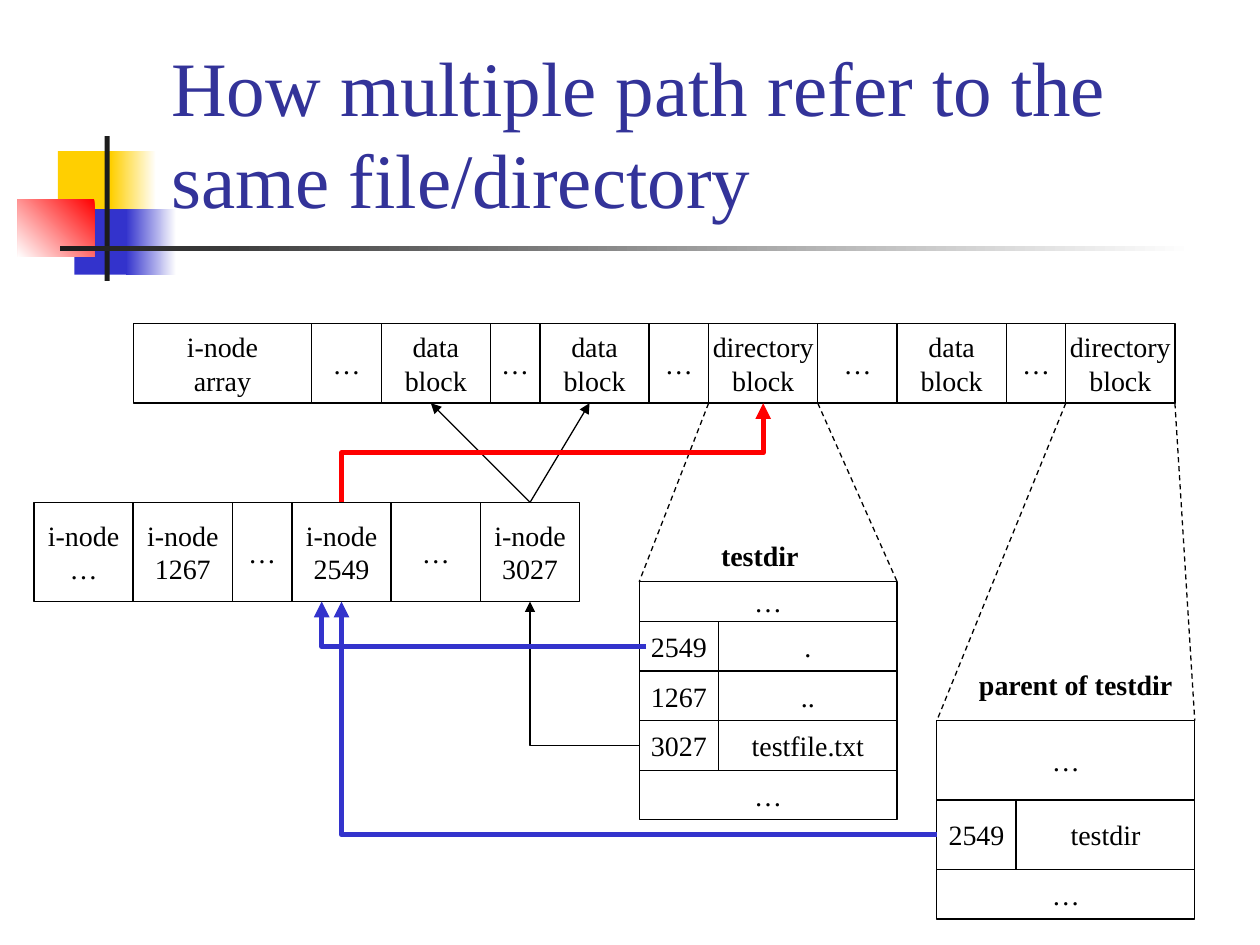
from dataclasses import dataclass
from itertools import accumulate

from lxml.etree import SubElement
from pptx import Presentation
from pptx.dml.color import RGBColor
from pptx.enum.dml import MSO_LINE
from pptx.enum.shapes import MSO_CONNECTOR as Connector, MSO_SHAPE as Preset
from pptx.enum.text import MSO_ANCHOR as Anchor, MSO_AUTO_SIZE as AutoSize, PP_ALIGN as Align
from pptx.oxml.ns import qn
from pptx.util import Inches, Mm, Pt


@dataclass(frozen=True)
class Theme:
    font: str = "Times New Roman"
    title_size: int = 44
    body_size: int = 16
    thin: float = 0.75
    thick: float = 3
    title: str = "333399"
    ink: str = "000000"
    white: str = "FFFFFF"
    yellow: str = "FFCF01"
    blue: str = "3333CC"
    red: str = "FF0000"
    bar: str = "1C1C1C"


@dataclass(frozen=True)
class Grid:
    left: int
    top: int
    unit: int

    def point(self, column, row):
        return self.left + int(column * self.unit), self.top + int(row * self.unit)

    def box(self, column, row, columns, rows):
        left, top = self.point(column, row)
        right, bottom = self.point(column + columns, row + rows)
        return left, top, right - left, bottom - top


THEME = Theme()
GRID = Grid(Inches(0.27), Inches(2.57), Mm(2))
ELLIPSIS = "…"


def color(value):
    return RGBColor.from_string(value)


def format_text(text_frame, size, ink, bold=False, align=Align.LEFT):
    for paragraph in text_frame.paragraphs:
        paragraph.alignment = align
        for run in paragraph.runs:
            run.font.name = THEME.font
            run.font.size = Pt(size)
            run.font.bold = bold
            run.font.color.rgb = color(ink)


def add_ornament(slide, box, start, end=None, angle=180):
    shape = slide.shapes.add_shape(Preset.RECTANGLE, *(Inches(value) for value in box))
    shape.shadow.inherit = False
    shape.line.fill.background()
    if end is None:
        shape.fill.solid()
        shape.fill.fore_color.rgb = color(start)
        return
    shape.fill.gradient()
    shape.fill.gradient_angle = angle
    for stop, value in zip(shape.fill.gradient_stops, (start, end)):
        stop.color.rgb = color(value)


def add_header(slide, text):
    add_ornament(slide, (0.46, 1.2, 0.48, 0.52), THEME.yellow)
    add_ornament(slide, (0.88, 1.2, 0.36, 0.52), THEME.white, THEME.yellow)
    add_ornament(slide, (0.59, 1.66, 0.46, 0.52), THEME.blue)
    add_ornament(slide, (1, 1.66, 0.4, 0.52), THEME.white, THEME.blue)
    add_ornament(slide, (0.14, 1.58, 0.61, 0.46), THEME.red, THEME.white, 225)
    add_ornament(slide, (0.83, 1.08, 0.04, 1.15), THEME.bar)
    add_ornament(slide, (0.48, 1.95, 9, 0.04), THEME.white, THEME.bar)
    title = slide.shapes.title
    title.left, title.top, title.width, title.height = map(Inches, (1.26, 0.23, 8.52, 1.6))
    title.text_frame.text = text
    title.text_frame.word_wrap = True
    title.text_frame.auto_size = AutoSize.NONE
    title.text_frame.vertical_anchor = Anchor.BOTTOM
    format_text(title.text_frame, THEME.title_size, THEME.title)
    slide.shapes._spTree.append(title._element)


def add_cell(slide, box, text):
    cell = slide.shapes.add_shape(Preset.RECTANGLE, *GRID.box(*box))
    cell.shadow.inherit = False
    cell.fill.background()
    cell.line.color.rgb = color(THEME.ink)
    cell.line.width = Pt(THEME.thin)
    cell.text_frame.text = text
    cell.text_frame.word_wrap = False
    cell.text_frame.vertical_anchor = Anchor.MIDDLE
    format_text(cell.text_frame, THEME.body_size, THEME.ink, align=Align.CENTER)
    return cell


def add_strip(slide, column, row, height, parts):
    widths = [width for width, text in parts]
    columns = accumulate(widths, initial=column)
    return [add_cell(slide, (left, row, width, height), text)
            for left, (width, text) in zip(columns, parts)]


def add_directory(slide, column, row, rows):
    for height, parts in rows:
        add_strip(slide, column, row, height, parts)
        row += height


def add_label(slide, box, text):
    label = slide.shapes.add_textbox(*GRID.box(*box))
    label.text_frame.text = text
    label.text_frame.word_wrap = False
    label.text_frame.auto_size = AutoSize.SHAPE_TO_FIT_TEXT
    format_text(label.text_frame, THEME.body_size, THEME.ink, bold=True)


def add_line(slide, kind, begin, end, ink=THEME.ink, width=THEME.thin, arrow=True):
    line = slide.shapes.add_connector(kind, *GRID.point(*begin), *GRID.point(*end))
    line.line.color.rgb = color(ink)
    line.line.width = Pt(width)
    if arrow:
        SubElement(line.line._get_or_add_ln(), qn("a:tailEnd"), type="triangle")
    SubElement(line._element.spPr, qn("a:effectLst"))
    return line


def add_projection(slide, begin, end):
    line = add_line(slide, Connector.STRAIGHT, begin, end, arrow=False)
    line.line.dash_style = MSO_LINE.DASH


def add_corner(slide, begin, end, ink=THEME.ink, width=THEME.thin):
    line = add_line(slide, Connector.ELBOW, begin, end, ink, width)
    line._element.spPr.find(qn("a:prstGeom")).set("prst", "bentConnector2")


def add_riser(slide, begin, end, ink, width):
    middle_x, middle_y = ((a + b) / 2 for a, b in zip(begin, end))
    half_x, half_y = ((b - a) / 2 for a, b in zip(begin, end))
    line = add_line(slide, Connector.ELBOW, (middle_x + half_y, middle_y - half_x),
                    (middle_x - half_y, middle_y + half_x), ink, width)
    line._element.spPr.find(qn("a:xfrm")).set("rot", str(270 * 60000))


def add_diagram(slide):
    for begin, end in (((68, 8), (61, 26)), ((79, 8), (87, 26)),
                       ((104, 8), (91, 40)), ((115, 8), (117, 40))):
        add_projection(slide, begin, end)

    data, directory = (11, "data\nblock"), (11, "directory\nblock")
    add_strip(slide, 10, 0, 8, [
        (18, "i-node\narray"), (7, ELLIPSIS), data, (5, ELLIPSIS), data, (6, ELLIPSIS),
        directory, (8, ELLIPSIS), data, (6, ELLIPSIS), directory])
    inodes = add_strip(slide, 0, 18, 10, [
        (10, "i-node\n…"), (10, "i-node\n1267"), (6, ELLIPSIS),
        (10, "i-node\n2549"), (9, ELLIPSIS), (10, "i-node\n3027")])

    filler = [(26, ELLIPSIS)]
    add_directory(slide, 61, 26, [
        (4, filler), (5, [(8, "2549"), (18, ".")]), (5, [(8, "1267"), (18, "..")]),
        (5, [(8, "3027"), (18, "testfile.txt")]), (5, filler)])
    add_directory(slide, 91, 40, [
        (8, filler), (7, [(8, "2549"), (18, "testdir")]), (5, filler)])
    add_label(slide, (68, 21, 10.4, 4.7), "testdir")
    add_label(slide, (94, 34, 22.2, 4.7), "parent of testdir")

    for column in (56, 40):
        line = add_line(slide, Connector.STRAIGHT, (50, 18), (column, 8))
        line.begin_connect(inodes[-1], 0)
    add_corner(slide, (61, 42.5), (50, 28))
    add_riser(slide, (31, 18), (73.5, 8), THEME.red, THEME.thick)
    add_corner(slide, (61.7, 32.5), (29, 28), THEME.blue, THEME.thick)
    add_corner(slide, (91, 51.5), (31, 28), THEME.blue, THEME.thick)


def main():
    presentation = Presentation()
    presentation.slide_width, presentation.slide_height = Inches(10), Inches(7.5)
    slide = presentation.slides.add_slide(presentation.slide_layouts[5])
    add_header(slide, "How multiple path refer to the same file/directory")
    add_diagram(slide)
    presentation.save("out.pptx")


if __name__ == "__main__":
    main()
